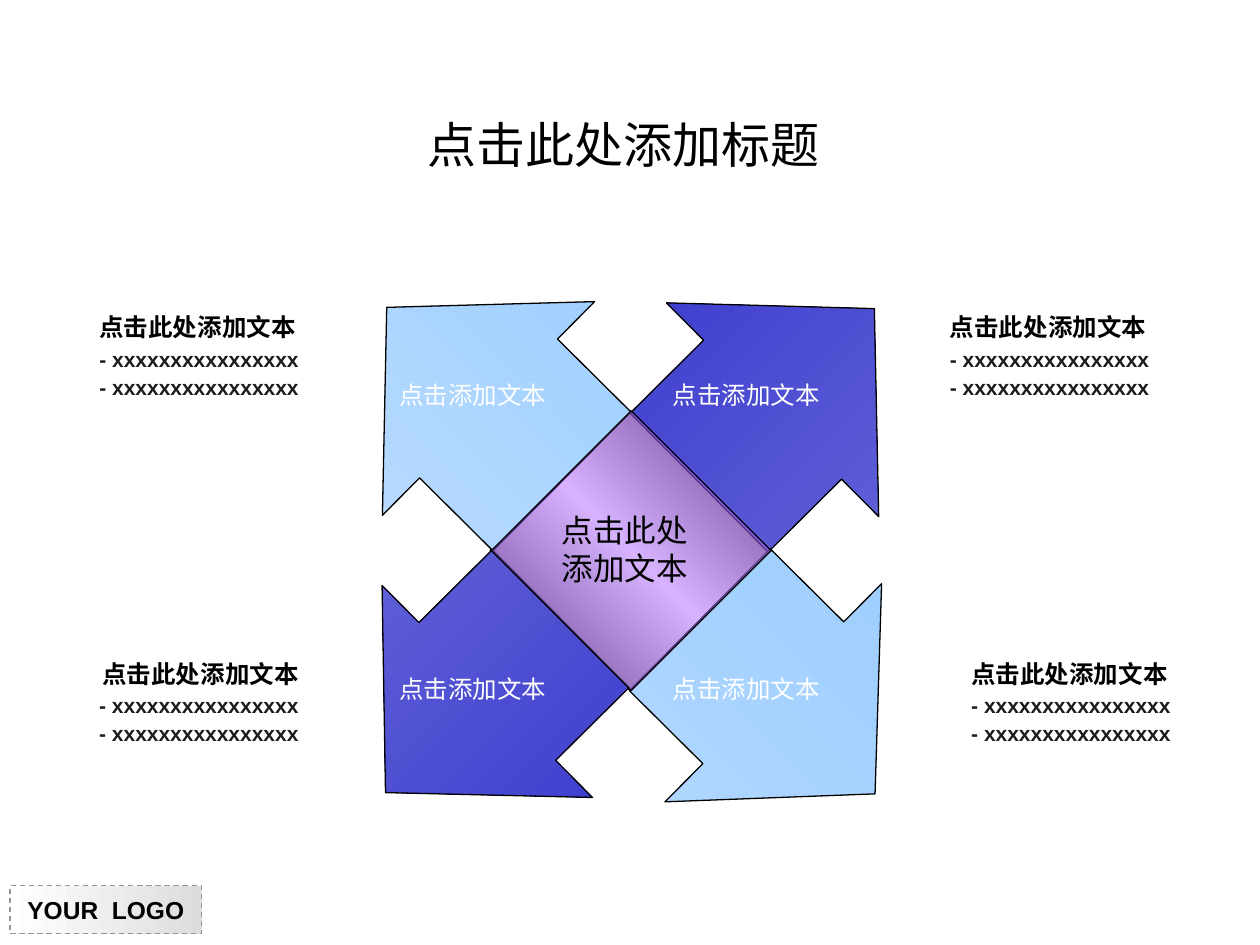
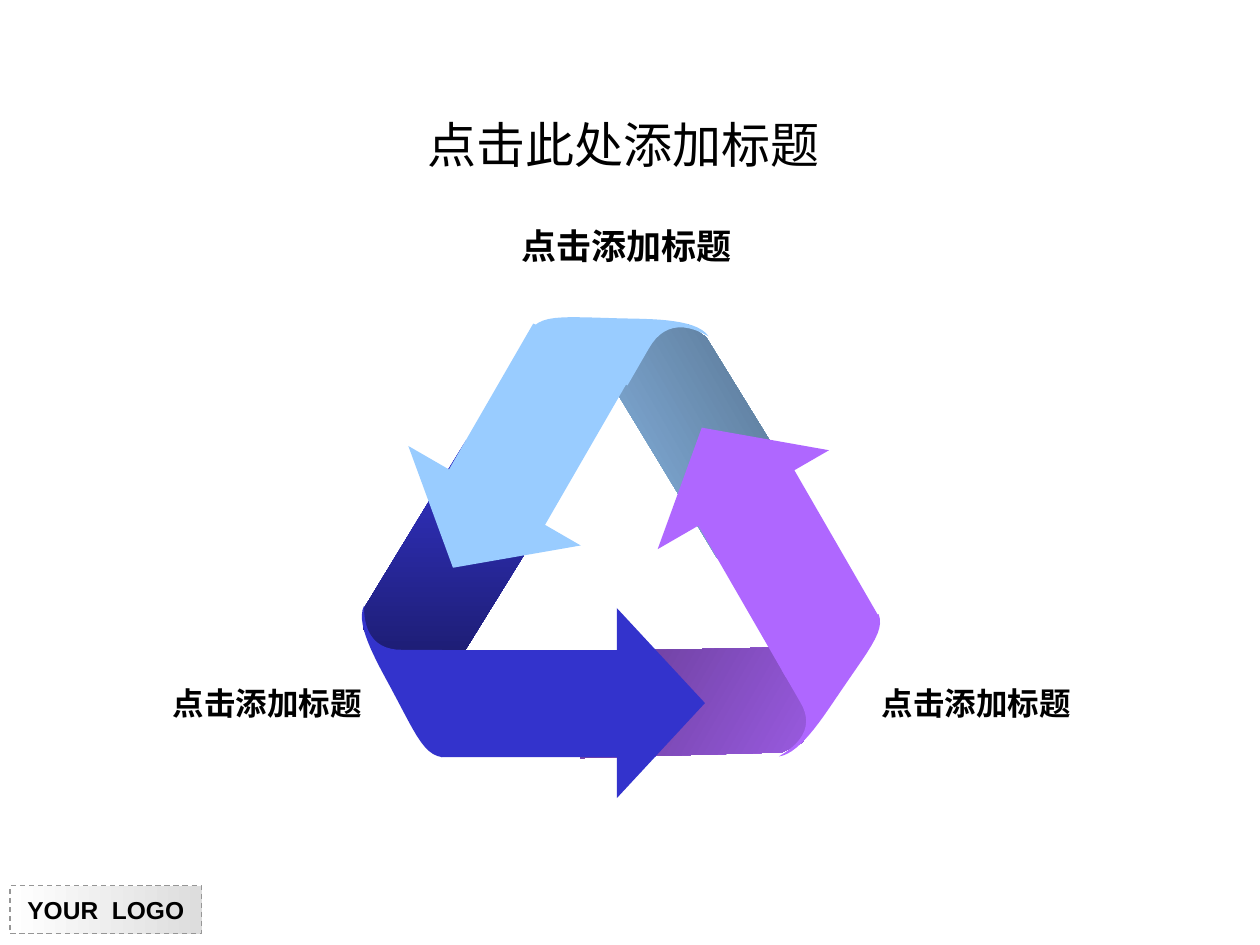
from collections import namedtuple
from itertools import product
from lxml.etree import SubElement
from pptx import Presentation
from pptx.dml.color import RGBColor
from pptx.enum.dml import MSO_LINE
from pptx.enum.shapes import MSO_SHAPE
from pptx.enum.text import MSO_ANCHOR, MSO_AUTO_SIZE, PP_ALIGN
from pptx.oxml.ns import qn
from pptx.util import Inches, Pt

FONT = "Arial"
LEFT, CENTER, RIGHT = PP_ALIGN.LEFT, PP_ALIGN.CENTER, PP_ALIGN.RIGHT

BLACK = RGBColor(0, 0, 0)
WHITE = RGBColor(255, 255, 255)
INK = RGBColor(0x1C, 0x1C, 0x1C)
COAL = RGBColor(0x10, 0x10, 0x10)
GREY = RGBColor(0x96, 0x96, 0x96)
SILVER = RGBColor(0xDD, 0xDD, 0xDD)
BLUE = RGBColor(0x33, 0x33, 0xCC)
IRIS = RGBColor(0x6B, 0x6B, 0xDA)
NAVY = RGBColor(0x18, 0x18, 0x5E)
SKY = RGBColor(0x99, 0xCC, 0xFF)
PALE = RGBColor(0xBE, 0xDE, 0xFF)
MIST = RGBColor(0xB4, 0xD9, 0xFF)
SLATE = RGBColor(0x47, 0x5E, 0x76)
VIOLET = RGBColor(0xAF, 0x67, 0xFF)
PLUM = RGBColor(0x51, 0x30, 0x76)

TITLE = "点击此处添加标题"
HEAD = "点击此处添加文本"
LABEL = "点击添加文本"
CAPTION = "点击添加标题"
ITEM = "- xxxxxxxxxxxxxxxx"

Arrow = namedtuple("Arrow", "box turn flip colors")
ARROWS = [
    Arrow((5.05, 2.16, 2.39, 1.96), 45.2, "H", [BLUE, IRIS]),
    Arrow((2.57, 2.15, 2.39, 1.96), 314.8, "", [SKY, PALE]),
    Arrow((5.03, 4.63, 2.44, 1.96), 314.8, "HV", [MIST, SKY]),
    Arrow((2.57, 4.62, 2.37, 1.96), 45.2, "V", [BLUE, IRIS]),
]
NOTES = [(0.69, 2.43, LEFT), (7.44, 2.43, LEFT),
         (0.08, 5.18, RIGHT), (7.61, 5.18, LEFT)]

Strand = namedtuple("Strand", "color shade slant turn fold tip arm curl")
STRANDS = [
    Strand(BLUE, NAVY, 90, 0,
           fold=(2.88, 3.49, 1.58, 2.14), tip=(4.49, 5.23, 1.51, 0.7),
           arm=(3.45, 5.16, 1.74, 0.85), curl=(2.87, 4.81, 0.64, 1.2)),
    Strand(SKY, SLATE, 330, 120,
           fold=(4.73, 2.31, 1.49, 2.27), tip=(2.97, 3.89, 1.58, 0.66),
           arm=(3.4, 3.02, 1.65, 0.88), curl=(4.58, 2.01, 0.68, 1.25)),
    Strand(VIOLET, PLUM, 210, 240,
           fold=(4.86, 4.34, 1.49, 2.27), tip=(4.95, 3.35, 1.57, 0.66),
           arm=(5.38, 4, 1.65, 0.88), curl=(6.28, 4.82, 0.6, 1.25)),
]


def bend(start, pull, push, end, steps=12):
    def point(t):
        parts = ((1 - t) ** 3, 3 * t * (1 - t) ** 2, 3 * t * t * (1 - t), t ** 3)
        knots = (start, pull, push, end)
        return tuple(sum(p * k[axis] for p, k in zip(parts, knots))
                     for axis in (0, 1))
    return [point(i / steps) for i in range(steps + 1)]


FOLD = [(1, 0.2), (0.33, 1), (0, 0.7), (0.01, 0.62), (0.52, 0)]
ARM = [(1, 0), (0, 0), (0, 0.52), (0.03, 1), (1, 1)]
CURL = [(1, 0.29),
        *bend((1, 1), (0.75, 0.98), (0.66, 0.83), (0.27, 0.45)),
        *bend((0.27, 0.45), (0.1, 0.28), (-0.06, 0.1), (0.03, 0)),
        *bend((0.03, 0), (0.03, 0.2), (0.2, 0.29), (0.5, 0.29))]


def paint(shape, color, alpha=None):
    shape.fill.solid()
    shape.fill.fore_color.rgb = color
    if alpha:
        node = shape._element.spPr.find(qn("a:solidFill"))[0]
        SubElement(node, qn("a:alpha"), val=str(alpha * 1000))


def blend(shape, colors, angle):
    shape.fill.gradient()
    grad = shape._element.spPr.find(qn("a:gradFill"))
    grad.set("rotWithShape", "0")
    stops = grad.find(qn("a:gsLst"))
    for stop in list(stops):
        stops.remove(stop)
    for i, color in enumerate(colors):
        place = i * 100000 // (len(colors) - 1)
        stop = SubElement(stops, qn("a:gs"), pos=str(place))
        SubElement(stop, qn("a:srgbClr"), val=str(color))
    grad.find(qn("a:lin")).set("ang", str(angle * 60000))


def finish(shape, line, turn):
    shape.shadow.inherit = False
    shape.rotation = turn
    if line is None:
        shape.line.fill.background()
    else:
        shape.line.color.rgb = line
        shape.line.width = Pt(0.75)
    return shape


def preset(slide, kind, box, line=None, turn=0):
    shape = slide.shapes.add_shape(kind, *map(Inches, box))
    return finish(shape, line, turn)


def outline(slide, form, box, turn):
    left, top, width, height = box
    spots = [(Inches(left + x * width), Inches(top + y * height))
             for x, y in form]
    pen = slide.shapes.build_freeform(*spots[0])
    pen.add_line_segments(spots[1:], close=True)
    return finish(pen.convert_to_shape(), None, turn)


def write(para, text, size, color=BLACK, bold=False, align=LEFT):
    para.alignment = align
    run = para.add_run()
    run.text = text
    font = run.font
    font.name, font.size, font.bold = FONT, Pt(size), bold
    font.color.rgb = color


def textbox(slide, box, wrap):
    frame = slide.shapes.add_textbox(*map(Inches, box)).text_frame
    frame.word_wrap = wrap
    frame.auto_size = MSO_AUTO_SIZE.SHAPE_TO_FIT_TEXT
    return frame


def label(slide, box, text, size, wrap=False, **style):
    write(textbox(slide, box, wrap).paragraphs[0], text, size, **style)


def note(slide, left, top, align):
    frame = textbox(slide, (left, top, 2.39, 1.01), True)
    write(frame.paragraphs[0], HEAD, 14, bold=True, align=align)
    for _ in range(2):
        para = frame.add_paragraph()
        para.line_spacing = 0.6
        para.space_before = Pt(7.5)
        write(para, ITEM, 12, INK, True, align)
    for para in frame.paragraphs:
        props = para._p.get_or_add_pPr()
        props.set("marL", str(Inches(0.13)))
        props.set("indent", str(-Inches(0.13)))


def badge(slide):
    shape = preset(slide, MSO_SHAPE.RECTANGLE, (0.08, 7.03, 1.52, 0.38), GREY)
    shape.line.dash_style = MSO_LINE.DASH
    blend(shape, [WHITE, SILVER], 0)
    shape.text_frame.word_wrap = False
    write(shape.text_frame.paragraphs[0], "YOUR  LOGO", 14, bold=True,
          align=CENTER)


def start(deck):
    slide = deck.slides.add_slide(deck.slide_layouts[5])
    badge(slide)
    title = slide.shapes.title
    title.left, title.top = Inches(2.41), Inches(0.79)
    title.width, title.height = Inches(5.08), Inches(0.71)
    title.text_frame.vertical_anchor = MSO_ANCHOR.MIDDLE
    write(title.text_frame.paragraphs[0], TITLE, 28, align=CENTER)
    return slide


def block(slide, arrow):
    shape = preset(slide, MSO_SHAPE.UP_ARROW, arrow.box, BLACK, arrow.turn)
    shape.adjustments[0] = 0.65
    shape.adjustments[1] = 0.581
    for axis in arrow.flip:
        shape._element.spPr.xfrm.set("flip" + axis, "1")
    blend(shape, arrow.colors, 135)


def fold(slide, strand):
    shape = outline(slide, FOLD, strand.fold, strand.turn)
    blend(shape, [strand.color, strand.shade], strand.slant)


def ribbon(slide, strand):
    tip = preset(slide, MSO_SHAPE.ISOSCELES_TRIANGLE, strand.tip,
                 turn=(strand.turn + 90) % 360)
    arm = outline(slide, ARM, strand.arm, strand.turn)
    curl = outline(slide, CURL, strand.curl, strand.turn)
    for part in (tip, arm, curl):
        paint(part, strand.color)


def cross(deck):
    slide = start(deck)
    core = preset(slide, MSO_SHAPE.DIAMOND, (3.89, 3.26, 2.22, 2.22), BLACK)
    blend(core, [COAL, WHITE, COAL], 315)
    for arrow in ARROWS:
        block(slide, arrow)
    veil = preset(slide, MSO_SHAPE.DIAMOND, (3.9, 3.26, 2.22, 2.22), BLACK)
    paint(veil, VIOLET, 50)
    for left, top in product((3.07, 5.24), (2.97, 5.3)):
        label(slide, (left, top, 1.37, 0.34), LABEL, 14, color=WHITE)
    label(slide, (4.36, 4.01, 1.34, 0.7), HEAD, 18, wrap=True)
    for left, top, align in NOTES:
        note(slide, left, top, align)


def cycle(deck):
    slide = start(deck)
    for strand in STRANDS:
        fold(slide, strand)
    for strand in STRANDS[1:] + STRANDS[:1]:
        ribbon(slide, strand)
    for box, size, align in [((1.27, 5.38, 1.7, 0.4), 18, RIGHT),
                             ((6.9, 5.38, 1.7, 0.4), 18, LEFT),
                             ((4.04, 1.73, 1.87, 0.44), 20, CENTER)]:
        label(slide, box, CAPTION, size, bold=True, align=align)


def main():
    deck = Presentation()
    deck.slide_width, deck.slide_height = Inches(10), Inches(7.5)
    cross(deck)
    cycle(deck)
    deck.save("out.pptx")


if __name__ == "__main__":
    main()
